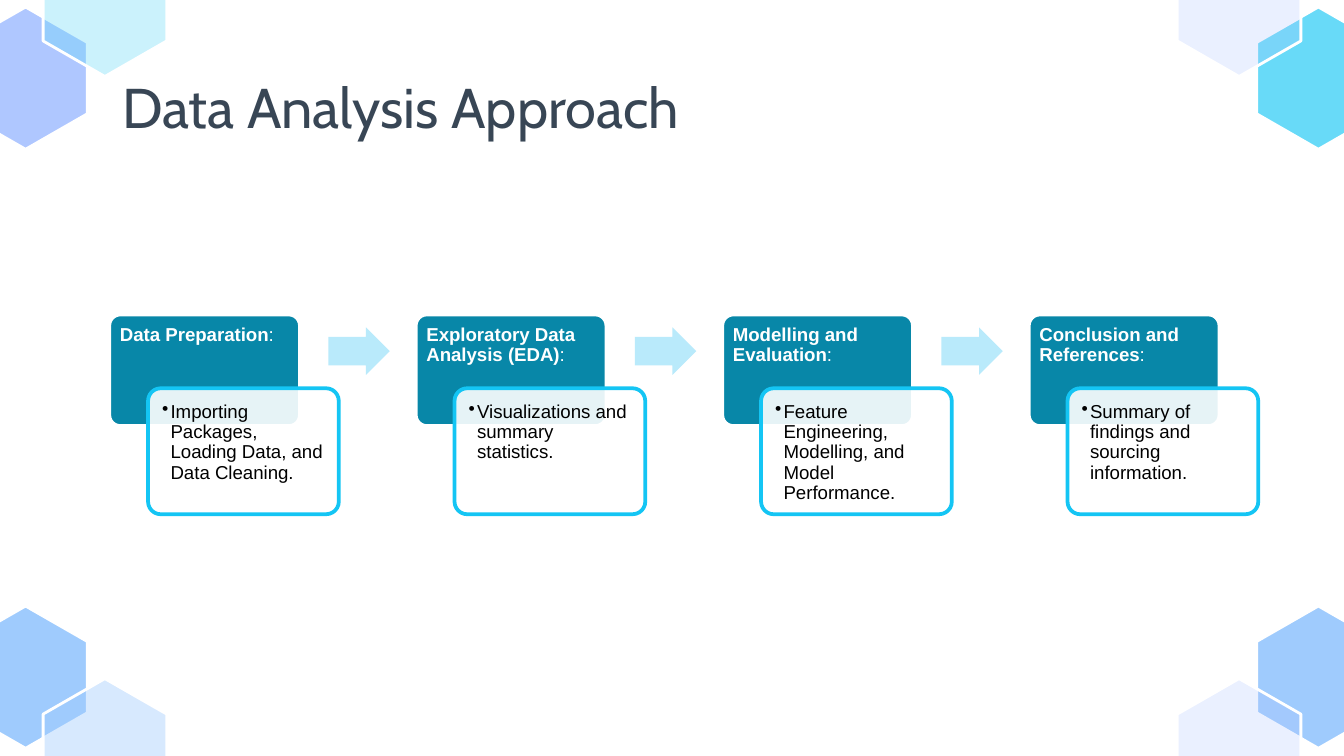
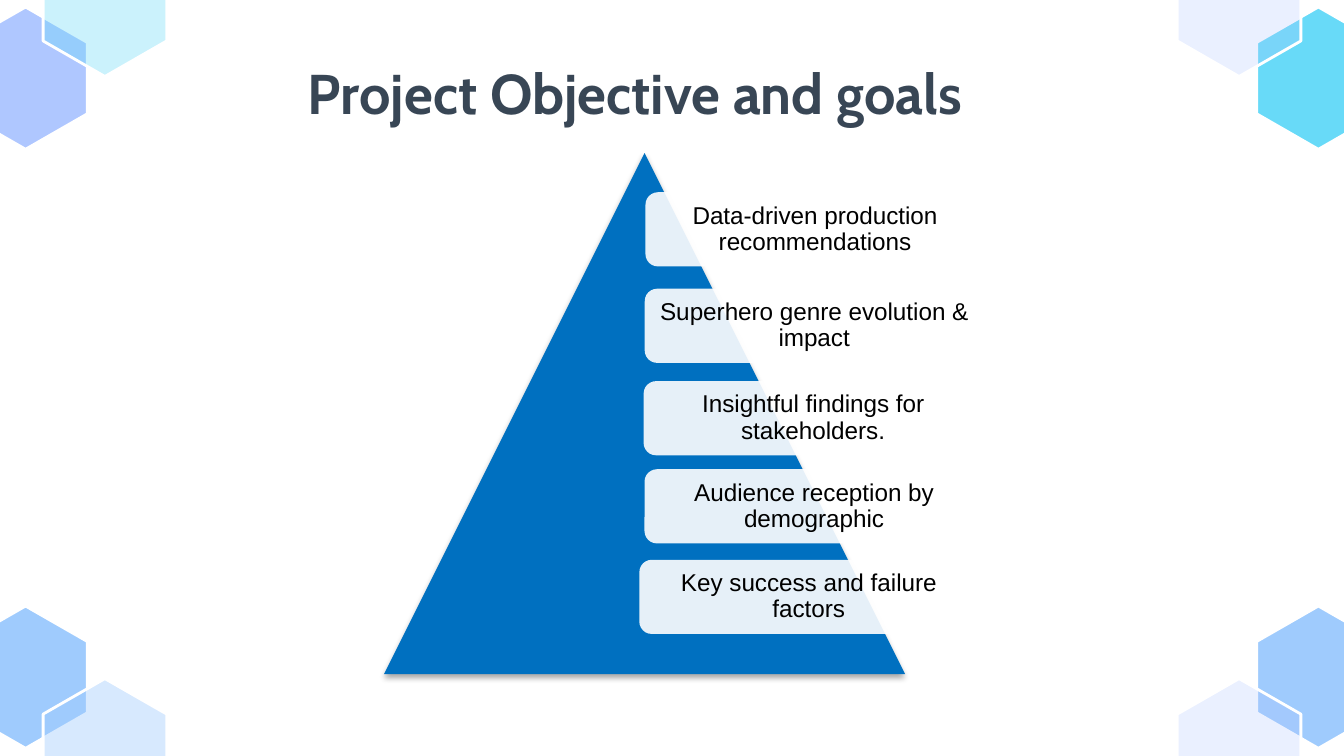
import dataclasses

import lxml.etree
import pptx
import pptx.dml.color
import pptx.enum.shapes
import pptx.enum.text
import pptx.oxml.ns
import pptx.util

Pt = pptx.util.Pt
RGB = pptx.dml.color.RGBColor.from_string
qn = pptx.oxml.ns.qn
SHAPE = pptx.enum.shapes.MSO_SHAPE
ALIGN = pptx.enum.text.PP_ALIGN
ANCHOR = pptx.enum.text.MSO_ANCHOR


@dataclasses.dataclass(frozen=True)
class Theme:
    heading_font: str = "Cabin"
    body_font: str = "Arial"
    title_size: float = 30
    step_size: float = 10
    goal_size: float = 13
    ink: str = "384655"
    black: str = "000000"
    white: str = "FFFFFF"
    sky: str = "9FCBFD"
    lavender: str = "AFC7FF"
    cyan: str = "68DAF8"
    teal: str = "0887A8"
    outline: str = "14C5F4"
    arrow: str = "B9EAFB"
    pyramid: str = "0070C0"


theme = Theme()


def paint(sp, fill, alpha=100, line=None, width=2):
    sp.shadow.inherit = False
    sp.fill.solid()
    sp.fill.fore_color.rgb = RGB(fill)
    if alpha < 100:
        clr = sp.element.spPr.find(qn("a:solidFill"))[0]
        lxml.etree.SubElement(clr, qn("a:alpha"), val=str(alpha * 1000))
    if line:
        sp.line.color.rgb = RGB(line)
        sp.line.width = Pt(width)
    else:
        sp.line.fill.background()


def write(sp, texts, font, size, color, align, anchor, inset, spacing):
    tf = sp.text_frame
    tf.word_wrap = True
    tf.auto_size = pptx.enum.text.MSO_AUTO_SIZE.NONE
    tf.vertical_anchor = anchor
    tf.margin_left = tf.margin_right = tf.margin_top = tf.margin_bottom = Pt(inset)
    p = tf.paragraphs[0]
    p.alignment = align
    p.line_spacing = spacing
    p.font.name = font
    p.font.size = Pt(size)
    p.font.color.rgb = RGB(color)
    for text, bold in texts:
        r = p.add_run()
        r.text = text
        r.font.bold = bold
    return p


prs = pptx.Presentation()
prs.slide_width, prs.slide_height = Pt(720), Pt(405)

hexagons = [
    (13.7, 324.7, theme.sky, 100),
    (56.2, 363.6, theme.sky, 41),
    (706.3, 324.7, theme.sky, 100),
    (663.8, 363.6, theme.lavender, 25),
    (13.7, 3.8, theme.lavender, 100),
    (56.2, -35.2, theme.cyan, 34),
    (706.3, 3.8, theme.cyan, 100),
    (663.8, -35.2, theme.lavender, 25),
]
hex_outline = [(-33.1, 19), (-33.1, 57.2), (0, 76.2), (33.1, 57.2), (33.1, 19)]
titles = [
    ("Data Analysis Approach", 58.3, 26.6, ALIGN.LEFT, False),
    ("Project Objective and goals", 90.7, 19.4, ALIGN.CENTER, True),
]
slides = []
for title, left, top, align, bold in titles:
    s = prs.slides.add_slide(prs.slide_layouts[5])
    slides.append(s)
    for cx, y, fill, alpha in hexagons:
        fb = s.shapes.build_freeform(Pt(cx), Pt(y))
        fb.add_line_segments([(Pt(cx + dx), Pt(y + dy)) for dx, dy in hex_outline])
        paint(fb.convert_to_shape(), fill, alpha, theme.white, 1.5)
    sp = s.shapes.title
    s.shapes.element.append(sp.element)
    sp.left, sp.top, sp.width, sp.height = Pt(left), Pt(top), Pt(499), Pt(55.4)
    write(sp, [(title, bold)], theme.heading_font, theme.title_size, theme.ink,
          align, ANCHOR.BOTTOM, 7.2, 1.15)

approach, goals = slides

steps = [
    ("Data Preparation", "Importing Packages, Loading Data, and Data Cleaning."),
    ("Exploratory Data Analysis (EDA)", "Visualizations and summary statistics."),
    ("Modelling and Evaluation", "Feature Engineering, Modelling, and Model Performance."),
    ("Conclusion and References", "Summary of findings and sourcing information."),
]
for i, (name, detail) in enumerate(steps):
    x = 58.5 + 164.2 * i
    sp = approach.shapes.add_shape(SHAPE.ROUNDED_RECTANGLE, Pt(x), Pt(168.5), Pt(102.2), Pt(59.8))
    sp.adjustments[0] = 0.1
    paint(sp, theme.teal, line=theme.white)
    write(sp, [(name, True), (":", False)], theme.body_font, theme.step_size, theme.white,
          ALIGN.LEFT, ANCHOR.TOP, 4, 0.9)

    sp = approach.shapes.add_shape(SHAPE.ROUNDED_RECTANGLE, Pt(x + 20.8), Pt(208), Pt(102.2), Pt(67.5))
    sp.adjustments[0] = 0.1
    paint(sp, theme.white, 90, theme.outline)
    p = write(sp, [(detail, False)], theme.body_font, theme.step_size, theme.black,
              ALIGN.LEFT, ANCHOR.TOP, 5.6, 0.9)
    pPr = p._p.get_or_add_pPr()
    pPr.set("marL", str(Pt(4.5)))
    pPr.set("indent", str(Pt(-4.5)))
    bullet = lxml.etree.Element(qn("a:buChar"), char="•")
    pPr.find(qn("a:defRPr")).addprevious(bullet)

    if i < len(steps) - 1:
        sp = approach.shapes.add_shape(SHAPE.RIGHT_ARROW, Pt(x + 117.4), Pt(175.4), Pt(32.9), Pt(25.5))
        sp.adjustments[0] = 0.6
        paint(sp, theme.arrow)

sp = goals.shapes.add_shape(SHAPE.ISOSCELES_TRIANGLE, Pt(205.7), Pt(82), Pt(279.2), Pt(279.2))
paint(sp, theme.pyramid)
shadow = lxml.etree.SubElement(
    sp.element.spPr.find(qn("a:effectLst")), qn("a:outerShdw"),
    blurRad=str(Pt(3.1)), dist=str(Pt(1.8)), dir="5400000", rotWithShape="0")
clr = lxml.etree.SubElement(shadow, qn("a:srgbClr"), val=theme.black)
lxml.etree.SubElement(clr, qn("a:alpha"), val="35000")

cards = [
    ("Data-driven production recommendations", 345.8, 103),
    ("Superhero genre evolution & impact", 345.4, 154.7),
    ("Insightful findings for stakeholders.", 344.8, 204.2),
    ("Audience reception by demographic", 345.3, 251.4),
    ("Key success and failure factors", 342.5, 299.9),
]
for text, x, y in cards:
    sp = goals.shapes.add_shape(SHAPE.ROUNDED_RECTANGLE, Pt(x), Pt(y), Pt(181.5), Pt(39.7))
    paint(sp, theme.white, 90)
    write(sp, [(text, False)], theme.body_font, theme.goal_size, theme.black,
          ALIGN.CENTER, ANCHOR.MIDDLE, 3.6, 0.9)

prs.save("out.pptx")
